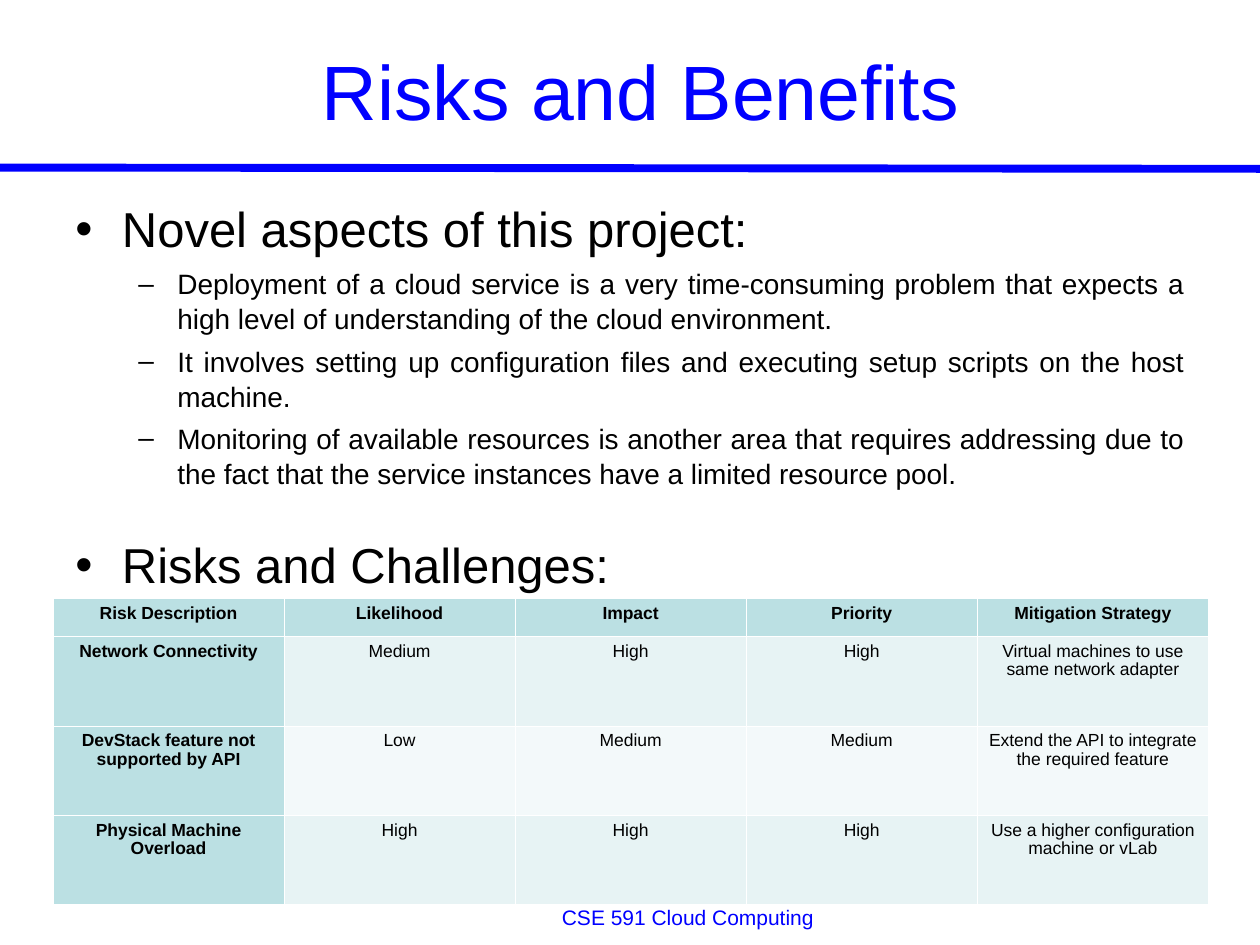
from dataclasses import dataclass

from lxml.etree import SubElement
from pptx import Presentation
from pptx.dml.color import RGBColor
from pptx.enum.shapes import MSO_CONNECTOR as Connector
from pptx.enum.text import MSO_ANCHOR as Anchor, PP_ALIGN as Align
from pptx.oxml.ns import qn
from pptx.util import Emu, Inches, Pt


@dataclass(frozen=True)
class Theme:
    font: str = "Arial"
    blue: str = "0000FF"
    black: str = "000000"
    white: str = "FFFFFF"
    header: str = "BBE0E3"
    bands: tuple = ("E7F3F4", "F3F9FA")
    title: int = 44
    heading: int = 28
    item: int = 16
    footer: int = 12
    cell: int = 10


THEME = Theme()
WIDTH, HEIGHT = Inches(10), Inches(7.5)

NOVEL_ASPECTS = [
    "Deployment of a cloud service is a very time-consuming problem that "
    "expects a high level of understanding of the cloud environment.",
    "It involves setting up configuration files and executing setup scripts "
    "on the host machine.",
    "Monitoring of available resources is another area that requires "
    "addressing due to the fact that the service instances have a limited "
    "resource pool.",
]
RISKS = [
    ["Risk Description", "Likelihood", "Impact", "Priority",
     "Mitigation Strategy"],
    ["Network Connectivity", "Medium", "High", "High",
     "Virtual machines to use same network adapter"],
    ["DevStack feature not supported by API", "Low", "Medium", "Medium",
     "Extend the API to integrate the required feature"],
    ["Physical Machine Overload", "High", "High", "High",
     "Use a higher configuration machine or vLab"],
]


def style(paragraph, size, color, align, spacing=1.0, bold=False):
    paragraph.alignment = align
    paragraph.line_spacing = spacing
    for run in paragraph.runs:
        run.font.name = THEME.font
        run.font.size = Pt(size)
        run.font.bold = bold
        run.font.color.rgb = RGBColor.from_string(color)


def add_frame(slide, left, top, width, height, anchor=Anchor.TOP):
    box = slide.shapes.add_textbox(Inches(left), Inches(top),
                                   Inches(width), Inches(height))
    box.text_frame.word_wrap = True
    box.text_frame.vertical_anchor = anchor
    return box.text_frame


def add_label(frame, text, size, spacing=1.0):
    frame.text = text
    style(frame.paragraphs[0], size, THEME.blue, Align.CENTER, spacing)


def add_rule(slide, start_y, end_y):
    rule = slide.shapes.add_connector(Connector.STRAIGHT, 0, Inches(start_y),
                                      WIDTH, Inches(end_y))
    rule.line.color.rgb = RGBColor.from_string(THEME.blue)
    rule.line.width = Pt(4.5)
    SubElement(rule._element.spPr, qn("a:effectLst"))


def set_bullet(paragraph, mark, margin, hanging):
    props = paragraph._p.get_or_add_pPr()
    props.set("marL", str(Inches(margin)))
    props.set("indent", str(-Inches(hanging)))
    color = SubElement(props, qn("a:buClr"))
    SubElement(color, qn("a:srgbClr"), val=THEME.black)
    SubElement(props, qn("a:buFont"), typeface=THEME.font)
    SubElement(props, qn("a:buChar"), char=mark)


def add_heading(paragraph, text, space_before=0):
    paragraph.text = text
    set_bullet(paragraph, "•", 0.37, 0.37)
    style(paragraph, THEME.heading, THEME.black, Align.JUSTIFY, 0.9)
    paragraph.space_before = Pt(space_before)


def add_item(paragraph, text):
    paragraph.text = text
    paragraph.level = 1
    set_bullet(paragraph, "–", 0.81, 0.31)
    style(paragraph, THEME.item, THEME.black, Align.JUSTIFY, 1.05)
    paragraph.space_before = Pt(4)


def set_borders(cell, header_edge):
    props = cell._tc.get_or_add_tcPr()
    for position, side in enumerate(("lnL", "lnR", "lnT", "lnB")):
        width = Pt(0.75) if side == header_edge else Pt(0.23)
        border = props.makeelement(qn(f"a:{side}"), {"w": str(width)})
        fill = SubElement(border, qn("a:solidFill"))
        SubElement(fill, qn("a:srgbClr"), val=THEME.white)
        props.insert(position, border)


def fill_cell(cell, text, row, column):
    is_label = row == 0 or column == 0
    cell.text = text
    cell.margin_left = cell.margin_right = Inches(0.04)
    cell.margin_top = cell.margin_bottom = Inches(0.05)
    cell.fill.solid()
    color = THEME.header if is_label else THEME.bands[(row - 1) % 2]
    cell.fill.fore_color.rgb = RGBColor.from_string(color)
    style(cell.text_frame.paragraphs[0], THEME.cell, THEME.black,
          Align.CENTER, 0.94, is_label)
    set_borders(cell, {0: "lnB", 1: "lnT"}.get(row))


def add_risk_table(slide, left, top, width, header_height, row_height):
    heights = [header_height] + [row_height] * (len(RISKS) - 1)
    table = slide.shapes.add_table(
        len(RISKS), len(RISKS[0]), Inches(left), Inches(top),
        Inches(width), Inches(sum(heights))).table
    for column in table.columns:
        column.width = Emu(Inches(width) // len(RISKS[0]))
    for row, texts in enumerate(RISKS):
        table.rows[row].height = Inches(heights[row])
        for column, text in enumerate(texts):
            fill_cell(table.cell(row, column), text, row, column)


def main():
    deck = Presentation()
    deck.slide_width, deck.slide_height = WIDTH, HEIGHT
    slide = deck.slides.add_slide(deck.slide_layouts[6])

    # Rule, footer and title
    add_rule(slide, 1.33, 1.34)
    add_label(add_frame(slide, 1.92, 7.17, 7.08, 0.26),
              "CSE 591 Cloud Computing", THEME.footer, 0.8)
    add_label(add_frame(slide, 0.67, 0.17, 9, 1.08, Anchor.MIDDLE),
              "Risks and Benefits ", THEME.title)

    # Outline
    outline = add_frame(slide, 0.5, 1.58, 9, 5.33)
    add_heading(outline.paragraphs[0], "Novel aspects of this project:")
    for aspect in NOVEL_ASPECTS:
        add_item(outline.add_paragraph(), aspect)
    add_heading(outline.add_paragraph(), "Risks and Challenges:", 29)

    # Risk table
    add_risk_table(slide, 0.42, 4.75, 9.17, 0.3, 0.71)

    deck.save("out.pptx")


if __name__ == "__main__":
    main()
